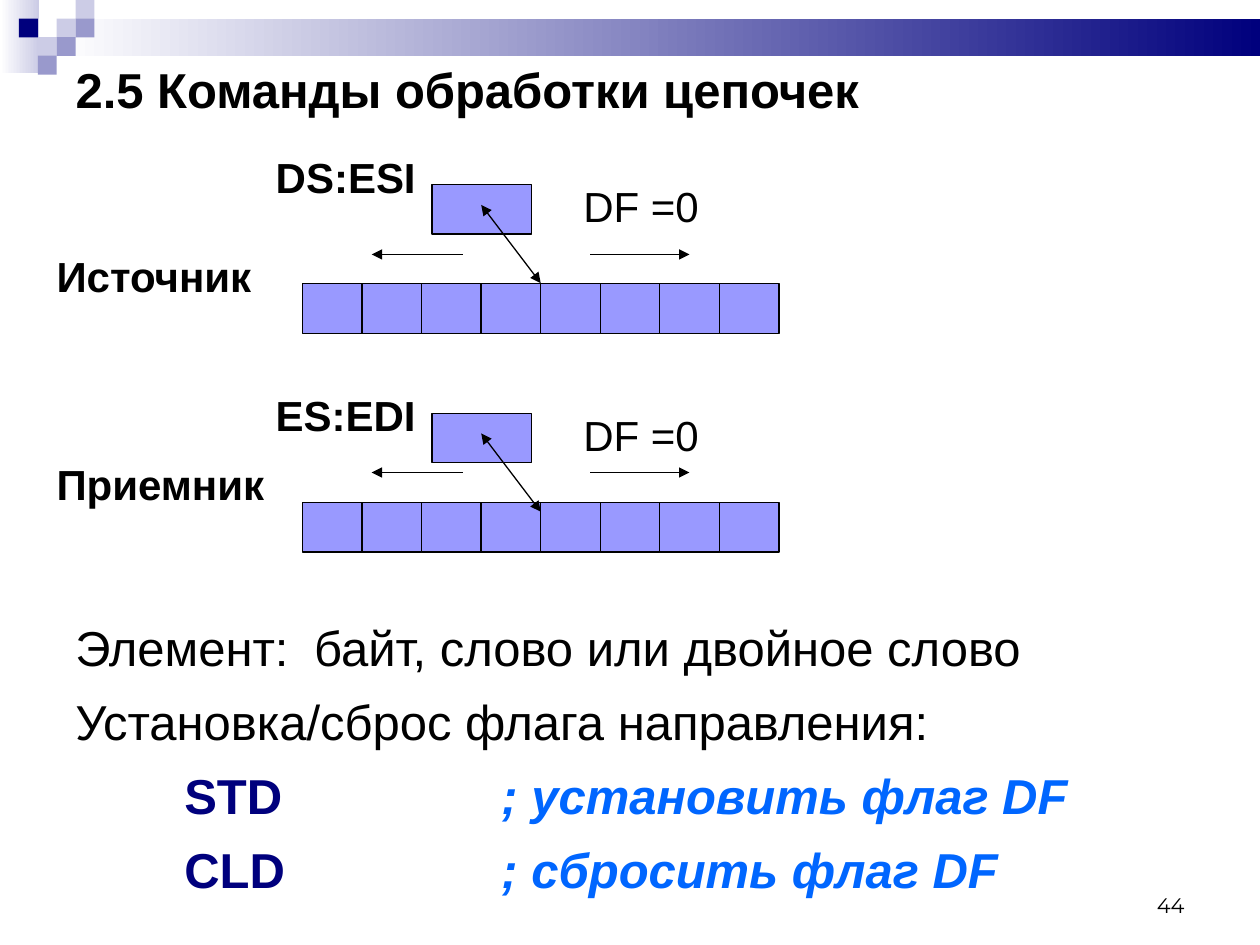
import pptx
import pptx.dml.color
import pptx.enum.shapes
import pptx.enum.text
import pptx.oxml
import pptx.oxml.ns
import pptx.util

Pt = pptx.util.Pt
ANCHOR = pptx.enum.text.MSO_ANCHOR
ALIGN = pptx.enum.text.PP_ALIGN
COLORS = {
    "black": "000000", "white": "FFFFFF", "navy": "00007D", "comment": "0066FF",
    "cell": "9999FF", "pale": "CCCCE6", "violet": "9999CC",
}
CELL_COUNT, CELL_WIDTH, BOX_HEIGHT = 8, 34.04, 28.2
CHAIN_LEFT = 172.8
REGISTER_LEFT, REGISTER_WIDTH = 246.8, 57
SQUARE = 10.8
MOSAIC = [(3, 1, "pale"), (4, 0, "pale"), (4, 1, "violet"), (2, 2, "pale"),
          (1, 1, "navy"), (3, 2, "violet"), (2, 3, "violet")]


def rgb(name):
    """Return the palette colour with this name."""
    return pptx.dml.color.RGBColor.from_string(COLORS[name])


def add_box(slide, left, top, width, height, color, outlined=False, fade_from=None):
    """Add a rectangle with a solid fill or a left-to-right gradient."""
    box = slide.shapes.add_shape(pptx.enum.shapes.MSO_SHAPE.RECTANGLE,
                                 Pt(left), Pt(top), Pt(width), Pt(height))
    box.shadow.inherit = False
    if fade_from:
        box.fill.gradient()
        box.fill.gradient_angle = 0
        for stop, name in zip(box.fill.gradient_stops, (fade_from, color)):
            stop.color.rgb = rgb(name)
    else:
        box.fill.solid()
        box.fill.fore_color.rgb = rgb(color)
    if outlined:
        box.line.color.rgb = rgb("black")
        box.line.width = Pt(0.75)
    else:
        box.line.fill.background()


def add_arrow(slide, start, end, both_ends=False):
    """Add a thin line with a triangular head at its end or at both ends."""
    arrow = slide.shapes.add_connector(pptx.enum.shapes.MSO_CONNECTOR.STRAIGHT,
                                       *(Pt(value) for value in (*start, *end)))
    arrow.line.color.rgb = rgb("black")
    arrow.line.width = Pt(0.75)
    line = arrow.line._get_or_add_ln()
    for tag in ("a:headEnd", "a:tailEnd") if both_ends else ("a:tailEnd",):
        pptx.oxml.ns.qn(tag)
        head = pptx.oxml.parse_xml(f'<{tag} {pptx.oxml.ns.nsdecls("a")} type="triangle"/>')
        line.append(head)
    arrow._element.spPr.append(
        pptx.oxml.parse_xml(f'<a:effectLst {pptx.oxml.ns.nsdecls("a")}/>'))


def write(paragraph, text, size=24, font="Arial", color="black", bold=False,
          italic=False, align=ALIGN.LEFT):
    """Append a formatted run to a paragraph."""
    paragraph.alignment = align
    run = paragraph.add_run()
    run.text = text
    run.font.size = Pt(size)
    run.font.name = font
    run.font.bold = bold
    run.font.italic = italic
    run.font.color.rgb = rgb(color)


def format_frame(shape, anchor=ANCHOR.TOP):
    """Set wrapping and anchoring of a text shape and return its frame."""
    frame = shape.text_frame
    frame.word_wrap = True
    frame.auto_size = pptx.enum.text.MSO_AUTO_SIZE.NONE
    frame.vertical_anchor = anchor
    return frame


def add_text_box(slide, left, top, width, height, anchor=ANCHOR.TOP):
    """Add an empty text box and return its frame."""
    box = slide.shapes.add_textbox(Pt(left), Pt(top), Pt(width), Pt(height))
    return format_frame(box, anchor)


def add_label(slide, text, left, top, width, **style):
    """Add a one-line diagram label."""
    write(add_text_box(slide, left, top, width, 36).paragraphs[0], text, **style)


def set_tabs(paragraph, *stops):
    """Give a paragraph left tab stops, measured in points."""
    tabs = "".join(f'<a:tab pos="{Pt(stop)}" algn="l"/>' for stop in stops)
    paragraph._p.get_or_add_pPr().append(pptx.oxml.parse_xml(
        f'<a:tabLst {pptx.oxml.ns.nsdecls("a")}>{tabs}</a:tabLst>'))


def add_header(slide):
    """Draw the gradient bars and the mosaic of squares."""
    add_box(slide, 0, 0, 22.3, 41.8, "pale", fade_from="white")
    add_box(slide, 32.4, SQUARE, 687.6, 21, "navy", fade_from="white")
    for column, row, color in MOSAIC:
        add_box(slide, column * SQUARE, row * 10.6, SQUARE, SQUARE, color)


def add_title(slide, text):
    """Place and format the title placeholder."""
    title = slide.shapes.title
    title.left, title.top, title.width, title.height = Pt(36), Pt(30.2), Pt(648), Pt(41)
    write(format_frame(title, ANCHOR.MIDDLE).paragraphs[0], text, size=28, bold=True)


def add_chain(slide, name, register, name_top, register_top, label_top, arrow_y, chain_top):
    """Draw a register pointing into a chain of cells, with its labels."""
    for index in range(CELL_COUNT):
        add_box(slide, CHAIN_LEFT + index * CELL_WIDTH, chain_top,
                CELL_WIDTH, BOX_HEIGHT, "cell", outlined=True)
    add_box(slide, REGISTER_LEFT, register_top, REGISTER_WIDTH, BOX_HEIGHT,
            "cell", outlined=True)
    add_arrow(slide, (275, register_top + 11.5), (309, register_top + 56.2), both_ends=True)
    add_arrow(slide, (264.4, arrow_y), (212.4, arrow_y))
    add_arrow(slide, (337.4, arrow_y), (394, arrow_y))
    add_label(slide, register, 150.5, label_top, 113, bold=True)
    add_label(slide, name, 25.2, name_top, 142, bold=True)
    add_label(slide, "DF =0", 326.2, register_top - 5.8, 85)


def add_notes_on_flag(slide):
    """Write the element sizes and the direction flag commands."""
    frame = add_text_box(slide, 36, 349.2, 648, 164)
    element = frame.paragraphs[0]
    set_tabs(element, 136.5)
    write(element, "Элемент:\tбайт, слово или двойное слово", size=28)
    setting = frame.add_paragraph()
    write(setting, "Установка/сброс флага направления:", size=28)
    setting.space_before = Pt(8.7)
    for command, comment in (("STD", "; установить флаг DF"), ("CLD", "; сбросить флаг DF")):
        line = frame.add_paragraph()
        set_tabs(line, 62.3, 243.5)
        write(line, f"\t{command}\t", size=28, color="navy", bold=True)
        write(line, comment, size=28, color="comment", bold=True, italic=True)
        line.space_before = Pt(8.7)


def main():
    """Build the slide and save it."""
    deck = pptx.Presentation()
    deck.slide_width, deck.slide_height = Pt(720), Pt(540)
    slide = deck.slides.add_slide(deck.slide_layouts[5])
    add_header(slide)
    add_title(slide, "2.5 Команды обработки цепочек")
    add_chain(slide, "Источник", "DS:ESI", name_top=139.7, register_top=105.6,
              label_top=82.8, arrow_y=145.4, chain_top=162.2)
    add_chain(slide, "Приемник", "ES:EDI", name_top=258.5, register_top=236.2,
              label_top=218.9, arrow_y=270, chain_top=287.2)
    add_notes_on_flag(slide)
    page_number = add_text_box(slide, 516.2, 491.8, 167.8, 36, ANCHOR.BOTTOM)
    write(page_number.paragraphs[0], "44", size=12, font="Montserrat", align=ALIGN.RIGHT)
    deck.save("out.pptx")


if __name__ == "__main__":
    main()
